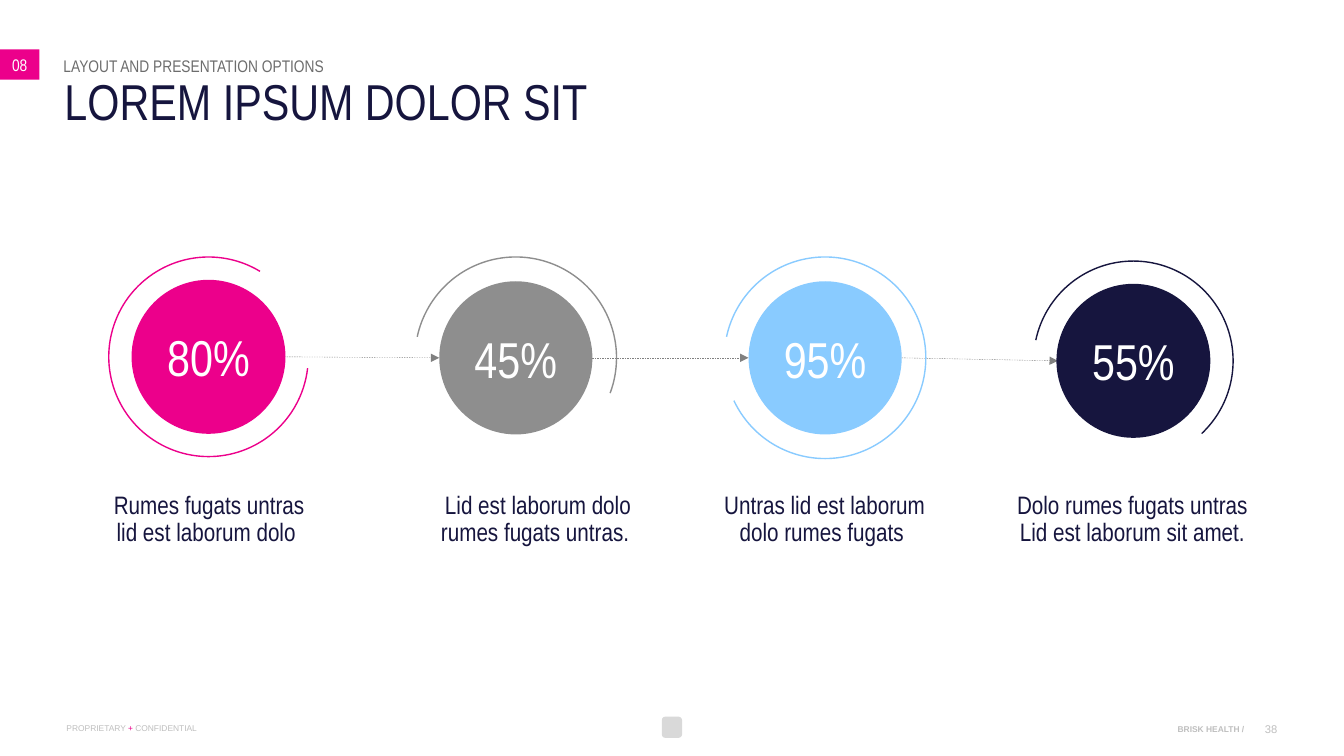
from itertools import pairwise

from lxml import etree
from pptx import Presentation
from pptx.dml import color
from pptx.enum import dml, shapes, text
from pptx.oxml import ns
from pptx.util import Emu, Pt

PX = 9144  # EMU in one px: 100 px to the inch
RING_GAP = 24
COLORS = {
    "pink": "EC008B",
    "grey": "8E8E8E",
    "sky": "89CBFF",
    "navy": "16153E",
    "white": "FFFFFF",
    "section": "6D6D6D",
    "arrow": "808080",
    "footer": "BFBFBF",
    "mark": "D9D9D9",
}
LEFT, CENTER, RIGHT = text.PP_ALIGN.LEFT, text.PP_ALIGN.CENTER, text.PP_ALIGN.RIGHT
TOP, MIDDLE = text.MSO_ANCHOR.TOP, text.MSO_ANCHOR.MIDDLE

# Value, colour, circle (left, top, size), outline in pt, ring (from, to) in degrees
GAUGES = [
    ("80%", "pink", (132, 279, 150), 2, (6.56, 301.08)),
    ("45%", "grey", (436, 279, 152), 0, (192, 20.52)),
    ("95%", "sky", (743, 279, 152), 0, (192, 154.83)),
    ("55%", "navy", (1050, 283, 150), 2, (192, 46.8)),
]
# Left, width, lines of each caption
CAPTIONS = [
    (102, 211, ["Rumes fugats untras lid est laborum dolo "]),
    (413, 242, ["Lid est laborum dolo rumes fugats untras. "]),
    (677, 283, ["Untras lid est laborum", "dolo rumes fugats "]),
    (1007, 234, ["Dolo rumes fugats untras Lid est laborum sit amet."]),
]


def px(*lengths):
    return [Emu(length * PX) for length in lengths]


def rgb(name):
    return color.RGBColor.from_string(COLORS[name])


def set_frame(frame, align=LEFT, anchor=TOP, wrap=True):
    frame.auto_size = text.MSO_AUTO_SIZE.NONE
    frame.word_wrap = wrap
    frame.vertical_anchor = anchor
    frame.margin_left = frame.margin_right = frame.margin_top = frame.margin_bottom = 0
    frame.paragraphs[0].alignment = align
    return frame.paragraphs[0]


def add_run(paragraph, words, size, tint, font="Arial Narrow", bold=False):
    run = paragraph.add_run()
    run.text = words
    run.font.name = font
    run.font.size = Pt(size)
    run.font.bold = bold
    run.font.color.rgb = rgb(tint)


def add_label(slide, box, align=LEFT, anchor=TOP, wrap=True):
    return set_frame(slide.shapes.add_textbox(*px(*box)).text_frame, align, anchor, wrap)


def add_solid(slide, kind, box, tint, outline=0):
    solid = slide.shapes.add_shape(kind, *px(*box))
    solid.shadow.inherit = False
    solid.fill.solid()
    solid.fill.fore_color.rgb = rgb(tint)
    if outline:
        solid.line.color.rgb = rgb(tint)
        solid.line.width = Pt(outline)
    else:
        solid.line.fill.background()
    return solid


def add_gauge(slide, value, tint, circle, outline, angles):
    left, top, size = circle
    disc = add_solid(slide, shapes.MSO_SHAPE.OVAL, (left, top, size, size), tint, outline)
    add_run(set_frame(disc.text_frame, CENTER, MIDDLE, False), value, 36, "white")

    span = size + 2 * RING_GAP
    ring = slide.shapes.add_shape(
        shapes.MSO_SHAPE.ARC, *px(left - RING_GAP, top - RING_GAP, span, span))
    ring.shadow.inherit = False
    ring.fill.background()
    ring.line.color.rgb = rgb(tint)
    ring.line.width = Pt(1)
    for index, degrees in enumerate(angles):
        ring.adjustments[index] = degrees * 0.6  # 60000 units a degree, over 100000


def add_arrow(slide, origin, target):
    left, top, size = origin
    next_left, next_top, next_size = target
    arrow = slide.shapes.add_connector(
        shapes.MSO_CONNECTOR.STRAIGHT,
        *px(left + size, top + size // 2, next_left, next_top + next_size // 2))
    arrow.line.color.rgb = rgb("arrow")
    arrow.line.width = Pt(0.25)
    arrow.line.dash_style = dml.MSO_LINE.DASH
    properties = arrow.line._get_or_add_ln()
    etree.SubElement(properties, ns.qn("a:tailEnd"), type="triangle")
    etree.SubElement(properties.getparent(), ns.qn("a:effectLst"))


def add_caption(slide, left, width, lines):
    caption = add_label(slide, (left, 489, width, 77), CENTER)
    caption.line_spacing = 0.9
    for index, line in enumerate(lines):
        if index:
            caption.add_line_break()
        add_run(caption, line, 18, "navy")


def add_header(slide):
    section = add_label(slide, (63, 55, 869, 20))
    add_run(section, "LAYOUT AND PRESENTATION OPTIONS", 12, "section")

    tab = add_solid(slide, shapes.MSO_SHAPE.RECTANGLE, (0, 49, 39, 30), "pink")
    add_run(set_frame(tab.text_frame, CENTER, MIDDLE, False), "08", 12, "white")

    title = slide.shapes.title
    title.left, title.top, title.width, title.height = px(64, 80, 1200, 50)
    heading = set_frame(title.text_frame, LEFT, MIDDLE)
    heading.line_spacing = 0.8
    add_run(heading, "LOREM IPSUM DOLOR SIT", 36, "navy")


def add_footer(slide):
    owner = add_label(slide, (1096, 718, 139, 10), RIGHT)
    add_run(owner, "BRISK HEALTH /", 6, "footer", "Arial", True)
    notice = add_label(slide, (66, 717, 132, 10), wrap=False)
    for words, tint in (("PROPRIETARY ", "footer"), ("+", "pink"), (" CONFIDENTIAL", "footer")):
        add_run(notice, words, 6, tint, "Arial")
    page = add_label(slide, (1240, 715, 28, 16), RIGHT, MIDDLE)
    add_run(page, "38", 8, "footer", "Arial")
    add_solid(slide, shapes.MSO_SHAPE.ROUNDED_RECTANGLE, (657, 711, 20, 21), "mark")


def main():
    deck = Presentation()
    deck.slide_width, deck.slide_height = px(1334, 750)
    slide = deck.slides.add_slide(deck.slide_layouts[5])

    add_footer(slide)
    add_header(slide)
    for caption in CAPTIONS:
        add_caption(slide, *caption)

    # Arrows lie behind the gauges they link
    for origin, target in pairwise(GAUGES):
        add_arrow(slide, origin[2], target[2])
    for gauge in GAUGES:
        add_gauge(slide, *gauge)

    deck.save("out.pptx")


if __name__ == "__main__":
    main()
